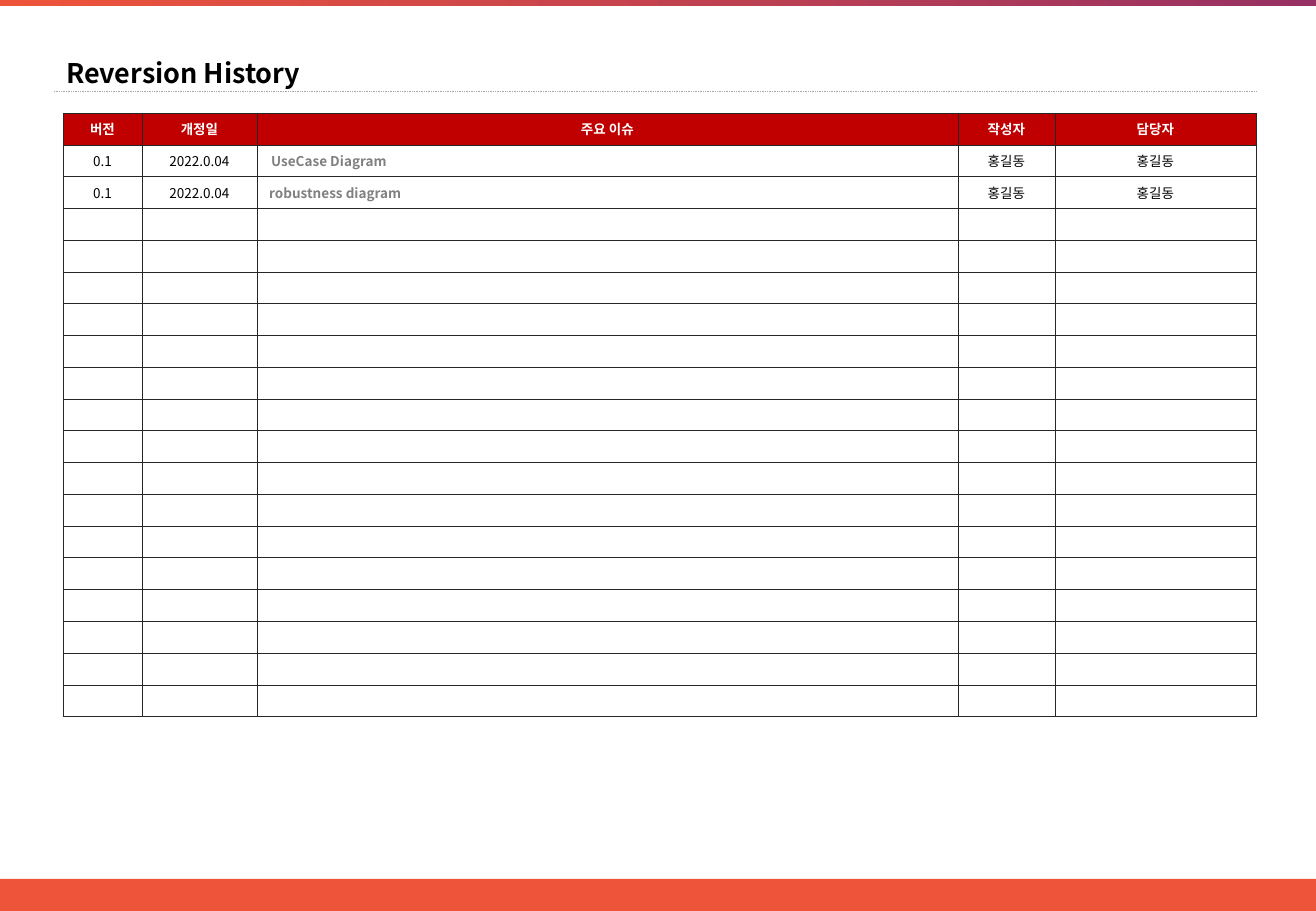
from itertools import pairwise

from lxml.etree import SubElement
from pptx import Presentation
from pptx.dml.color import RGBColor
from pptx.enum.dml import MSO_LINE
from pptx.enum.shapes import MSO_CONNECTOR, MSO_SHAPE
from pptx.enum.text import MSO_ANCHOR, MSO_AUTO_SIZE, PP_ALIGN
from pptx.oxml.ns import qn
from pptx.util import Emu, Pt

SCALE = 914400 / 121.5
PAGE_WIDTH, PAGE_HEIGHT = 1316, 911
FONT = "Noto Sans CJK KR"

BLACK = RGBColor(0x00, 0x00, 0x00)
WHITE = RGBColor(0xFF, 0xFF, 0xFF)
GRAY = RGBColor(0x80, 0x80, 0x80)
RULE_GRAY = RGBColor(0xA6, 0xA6, 0xA6)
BORDER = RGBColor(0x26, 0x26, 0x26)
RED = RGBColor(0xC0, 0x00, 0x00)
ORANGE = RGBColor(0xEE, 0x54, 0x3A)
PURPLE = RGBColor(0x97, 0x31, 0x63)

COLUMN_EDGES = [63, 142, 257, 958, 1055, 1256]
TABLE_TOP, TABLE_BOTTOM, ROW_COUNT = 113, 717, 19
ISSUE_COLUMN = 2
HEADINGS = ["버전", "개정일", "주요 이슈", "작성자", "담당자"]
REVISIONS = [
    ["0.1", "2022.0.04", "UseCase Diagram", "홍길동", "홍길동"],
    ["0.1", "2022.0.04", "robustness diagram", "홍길동", "홍길동"],
]


def px(length):
    return Emu(round(length * SCALE))


def write_text(frame, text, size=8, color=BLACK, bold=False, align=PP_ALIGN.LEFT):
    para = frame.paragraphs[0]
    para.alignment = align
    span = para.add_run()
    span.text = text
    span.font.name = FONT
    span.font.size = Pt(size)
    span.font.bold = bold
    span.font.color.rgb = color
    SubElement(span.font._element, qn("a:ea"), typeface=FONT)
    return para


def add_bar(page, top, height):
    bar = page.shapes.add_shape(
        MSO_SHAPE.RECTANGLE, 0, px(top), px(PAGE_WIDTH), px(height))
    bar.shadow.inherit = False
    bar.line.fill.background()
    return bar


def add_solid_bar(page, top, height, color):
    bar = add_bar(page, top, height)
    bar.fill.solid()
    bar.fill.fore_color.rgb = color


def add_gradient_bar(page, top, height, colors):
    bar = add_bar(page, top, height)
    bar.fill.gradient()
    bar.fill.gradient_angle = 0
    for stop, color in zip(bar.fill.gradient_stops, colors):
        stop.color.rgb = color


def add_dotted_rule(page, left, right, y):
    rule = page.shapes.add_connector(
        MSO_CONNECTOR.STRAIGHT, px(left), px(y), px(right), px(y))
    rule.line.color.rgb = RULE_GRAY
    rule.line.width = Pt(0.5)
    rule.line.dash_style = MSO_LINE.ROUND_DOT
    SubElement(rule._element.spPr, qn("a:effectLst"))


def set_title(page, text):
    title = page.shapes.title
    title.left, title.top, title.width, title.height = map(px, (54, 50, 1190, 45))
    frame = title.text_frame
    frame.auto_size = MSO_AUTO_SIZE.NONE
    frame.vertical_anchor = MSO_ANCHOR.MIDDLE
    write_text(frame, text, size=16, bold=True)


def set_borders(cell):
    properties = cell._tc.get_or_add_tcPr()
    for side in ("lnL", "lnR", "lnT", "lnB"):
        line = SubElement(properties, qn(f"a:{side}"), w=str(Pt(0.25)))
        fill = SubElement(line, qn("a:solidFill"))
        SubElement(fill, qn("a:srgbClr"), val=str(BORDER))


def format_cell(cell, fill=None):
    cell.vertical_anchor = MSO_ANCHOR.MIDDLE
    cell.margin_top = cell.margin_bottom = px(4)
    set_borders(cell)
    if fill is None:
        cell.fill.background()
    else:
        cell.fill.solid()
        cell.fill.fore_color.rgb = fill
    para = cell.text_frame.paragraphs[0]
    SubElement(para._p, qn("a:endParaRPr"), sz="800")


def add_history_table(page):
    left, right = COLUMN_EDGES[0], COLUMN_EDGES[-1]
    height = TABLE_BOTTOM - TABLE_TOP
    table = page.shapes.add_table(
        ROW_COUNT, len(HEADINGS), px(left), px(TABLE_TOP),
        px(right - left), px(height)).table
    table.first_row = table.horz_banding = False
    for column, (start, end) in zip(table.columns, pairwise(COLUMN_EDGES)):
        column.width = px(end - start)
    for row in table.rows:
        row.height = px(height / ROW_COUNT)

    for number, heading in enumerate(HEADINGS):
        write_text(table.cell(0, number).text_frame, heading,
                   color=WHITE, bold=True, align=PP_ALIGN.CENTER)
    for row, revision in enumerate(REVISIONS, start=1):
        for number, text in enumerate(revision):
            frame = table.cell(row, number).text_frame
            if number == ISSUE_COLUMN:
                write_text(frame, text, color=GRAY, bold=True)
            else:
                write_text(frame, text, align=PP_ALIGN.CENTER)
    first_issue = table.cell(1, ISSUE_COLUMN).text_frame.paragraphs[0]
    first_issue._p.get_or_add_pPr().set("marL", str(px(2)))

    for row in range(ROW_COUNT):
        for number in range(len(HEADINGS)):
            format_cell(table.cell(row, number), RED if row == 0 else None)


def main():
    deck = Presentation()
    deck.slide_width, deck.slide_height = px(PAGE_WIDTH), px(PAGE_HEIGHT)
    page = deck.slides.add_slide(deck.slide_layouts[5])
    add_solid_bar(page, 879, 32, ORANGE)
    add_gradient_bar(page, 0, 6, (ORANGE, PURPLE))
    add_dotted_rule(page, 54, 1256, 91)
    set_title(page, "Reversion History")
    add_history_table(page)
    deck.save("out.pptx")


main()
